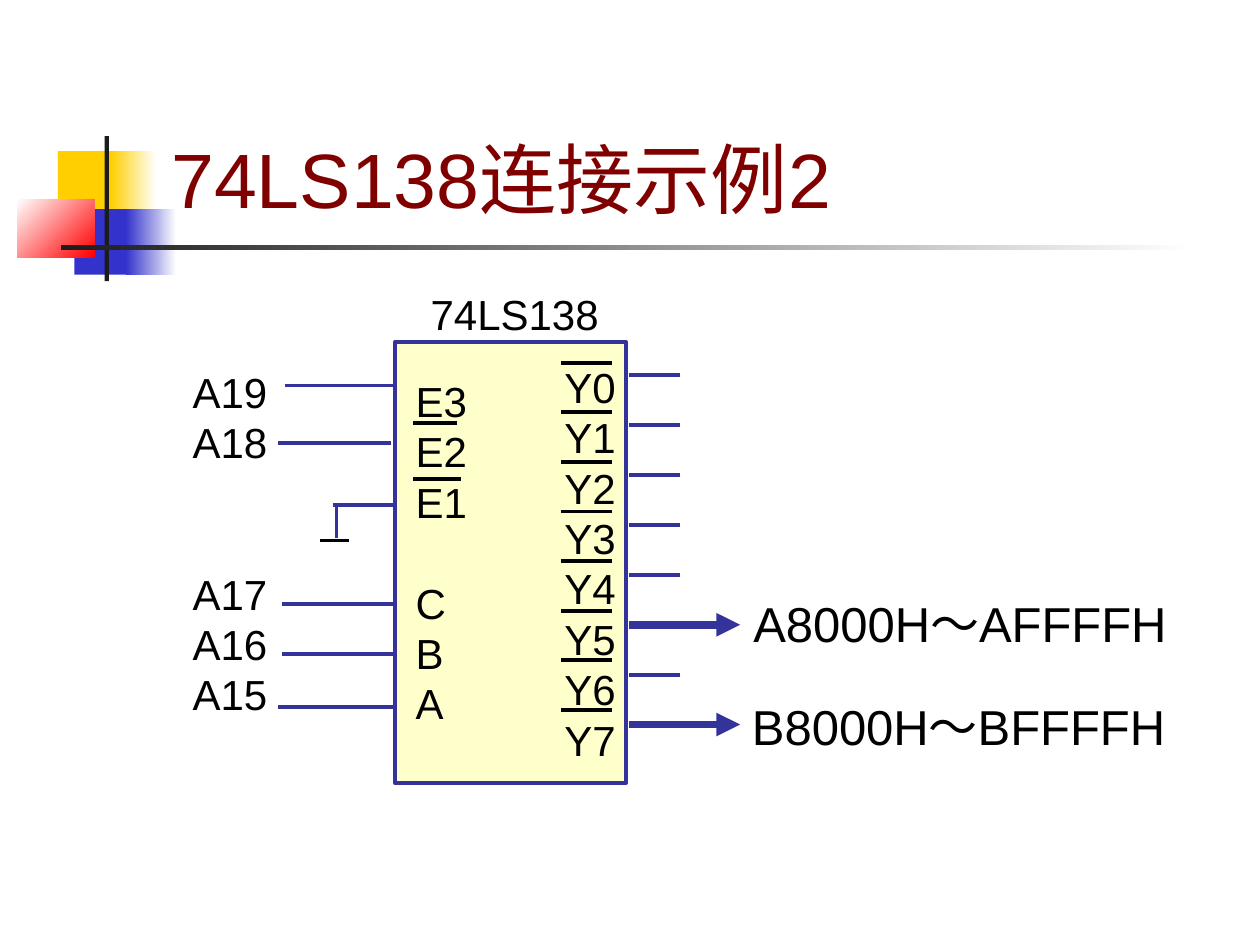
import dataclasses

import pptx
import pptx.dml.color
import pptx.enum.shapes
import pptx.enum.text
import pptx.oxml
import pptx.oxml.ns
import pptx.util

Pt = pptx.util.Pt
FONT = "Arial"
NAVY, BLACK, WHITE = "333399", "000000", "FFFFFF"
LEADING = 1.2  # line pitch as a multiple of the text size


@dataclasses.dataclass
class Block:
    x: float
    y: float
    w: float
    h: float
    color: str
    fade_to: str = ""
    angle: float = 0
    border: str = ""


@dataclasses.dataclass
class Wire:
    x1: float
    y1: float
    x2: float
    y2: float
    color: str = NAVY
    width: float = 2.25
    arrow: bool = False


@dataclasses.dataclass
class Label:
    x: float
    y: float
    w: float
    h: float
    lines: list[str]
    size: float = 24
    gaps: dict[str, float] = dataclasses.field(default_factory=dict)


def rgb(value: str) -> pptx.dml.color.RGBColor:
    return pptx.dml.color.RGBColor.from_string(value)


def draw_block(slide, b: Block) -> None:
    sp = slide.shapes.add_shape(pptx.enum.shapes.MSO_SHAPE.RECTANGLE,
                                Pt(b.x), Pt(b.y), Pt(b.w), Pt(b.h))
    sp.shadow.inherit = False
    if b.fade_to:
        sp.fill.gradient()
        sp.fill.gradient_angle = b.angle
        for stop, color in zip(sp.fill.gradient_stops, (b.color, b.fade_to)):
            stop.color.rgb = rgb(color)
    else:
        sp.fill.solid()
        sp.fill.fore_color.rgb = rgb(b.color)
    if b.border:
        sp.line.color.rgb = rgb(b.border)
        sp.line.width = Pt(2.25)
    else:
        sp.line.fill.background()


def draw_wire(slide, w: Wire) -> None:
    cx = slide.shapes.add_connector(pptx.enum.shapes.MSO_CONNECTOR.STRAIGHT,
                                    Pt(w.x1), Pt(w.y1), Pt(w.x2), Pt(w.y2))
    cx.line.color.rgb = rgb(w.color)
    cx.line.width = Pt(w.width)
    if w.arrow:
        tail = pptx.oxml.parse_xml(
            f'<a:tailEnd {pptx.oxml.ns.nsdecls("a")} type="triangle"/>')
        cx.line._get_or_add_ln().append(tail)
    cx._element.spPr.append(pptx.oxml.parse_xml(
        f'<a:effectLst {pptx.oxml.ns.nsdecls("a")}/>'))


def add_run(p, text: str, size: float, color: str) -> None:
    r = p.add_run()
    r.text = text
    r.font.name = FONT
    r.font.size = Pt(size)
    r.font.color.rgb = rgb(color)


def draw_label(slide, b: Label) -> None:
    tf = slide.shapes.add_textbox(Pt(b.x), Pt(b.y), Pt(b.w), Pt(b.h)).text_frame
    tf.word_wrap = False
    for i, line in enumerate(b.lines):
        p = tf.add_paragraph() if i else tf.paragraphs[0]
        p.line_spacing = Pt(b.size * LEADING)
        if line in b.gaps:
            p.space_before = Pt(b.gaps[line])
        add_run(p, line, b.size, BLACK)


def draw_title(slide, text: str) -> None:
    sp = slide.shapes.title
    sp.left, sp.top, sp.width, sp.height = Pt(90.7), Pt(16.6), Pt(613.4), Pt(115.2)
    tf = sp.text_frame
    tf.auto_size = pptx.enum.text.MSO_AUTO_SIZE.NONE
    tf.vertical_anchor = pptx.enum.text.MSO_ANCHOR.BOTTOM
    p = tf.paragraphs[0]
    p.alignment = pptx.enum.text.PP_ALIGN.LEFT
    add_run(p, text, 44, "800000")


# Coloured squares and rules around the title
DECORATION = [
    Block(33.1, 86.4, 34.6, 37.4, "FFCF01"),
    Block(63.4, 86.4, 25.9, 37.4, "FFCF01", WHITE),
    Block(42.5, 119.5, 33.1, 37.4, "3333CC"),
    Block(72, 119.5, 28.8, 37.4, "3333CC", WHITE),
    Block(10, 113.8, 44, 33.1, WHITE, "FF0000", 315),
    Block(59.8, 77.8, 2.5, 82.8, "1C1C1C"),
    Block(34.6, 140.2, 648, 2.5, "1C1C1C", WHITE),
]

CHIP = Block(225.7, 195.4, 132, 252, "FFFFCC", border=NAVY)

# Input wires, ground and the bars over E2 and E1
INPUTS = [
    Wire(162.7, 220.3, 225.4, 220.3),
    Wire(159.1, 253.4, 223.2, 253.4),
    Wire(190.1, 288.7, 226.1, 288.7),
    Wire(192.2, 288.7, 192.2, 307.4, width=1.5),
    Wire(182.9, 308.9, 199.4, 308.9, BLACK, 1.5),
    Wire(161.3, 344.9, 225.4, 344.9),
    Wire(161.3, 374, 225.4, 374),
    Wire(159.1, 403.9, 225.4, 403.9),
    Wire(236.2, 241.9, 261.4, 241.9, BLACK),
    Wire(236.2, 273.6, 263.5, 273.6, BLACK),
]

# Outputs: evenly spaced stubs and bars; the used ones end in an arrow
OUTPUT_COUNT = 8
USED_OUTPUTS = (5, 7)
STUB_TOP, STUB_STEP = 214.5, 28.5
BAR_TOP, BAR_STEP = 207.4, 28.3

# Text boxes, each wide enough to keep every line whole
LINE = 24 * LEADING
LABELS = [
    Label(239, 161.3, 114, 36, ["74LS138"]),
    Label(103, 205.9, 67.7, 208.8, ["A19", "A18", "A17", "A16", "A15"],
          gaps={"A17": 2 * LINE}),
    Label(230.4, 211, 46, 208.8, ["E3", "E2", "E1", "C", "B", "A"],
          gaps={"C": LINE}),
    Label(315.4, 203, 46, 237.6, [f"Y{i}" for i in range(OUTPUT_COUNT)]),
    Label(423.4, 335.5, 267.1, 41, ["A8000H～AFFFFH"], 28),
    Label(422.6, 394.6, 267.1, 41, ["B8000H～BFFFFH"], 28),
]


def main() -> None:
    prs = pptx.Presentation()
    prs.slide_width, prs.slide_height = Pt(720), Pt(540)
    slide = prs.slides.add_slide(prs.slide_layouts[5])

    for block in DECORATION + [CHIP]:
        draw_block(slide, block)
    draw_title(slide, "74LS138连接示例2")

    for wire in INPUTS:
        draw_wire(slide, wire)
    for i in range(OUTPUT_COUNT):
        y, bar_y = STUB_TOP + i * STUB_STEP, BAR_TOP + i * BAR_STEP
        used = i in USED_OUTPUTS
        draw_wire(slide, Wire(359.3, y, 422.9 if used else 388.8, y,
                              width=4.5 if used else 2.25, arrow=used))
        draw_wire(slide, Wire(320.4, bar_y, 349.9, bar_y, BLACK))

    for label in LABELS:
        draw_label(slide, label)
    prs.save("out.pptx")


if __name__ == "__main__":
    main()
